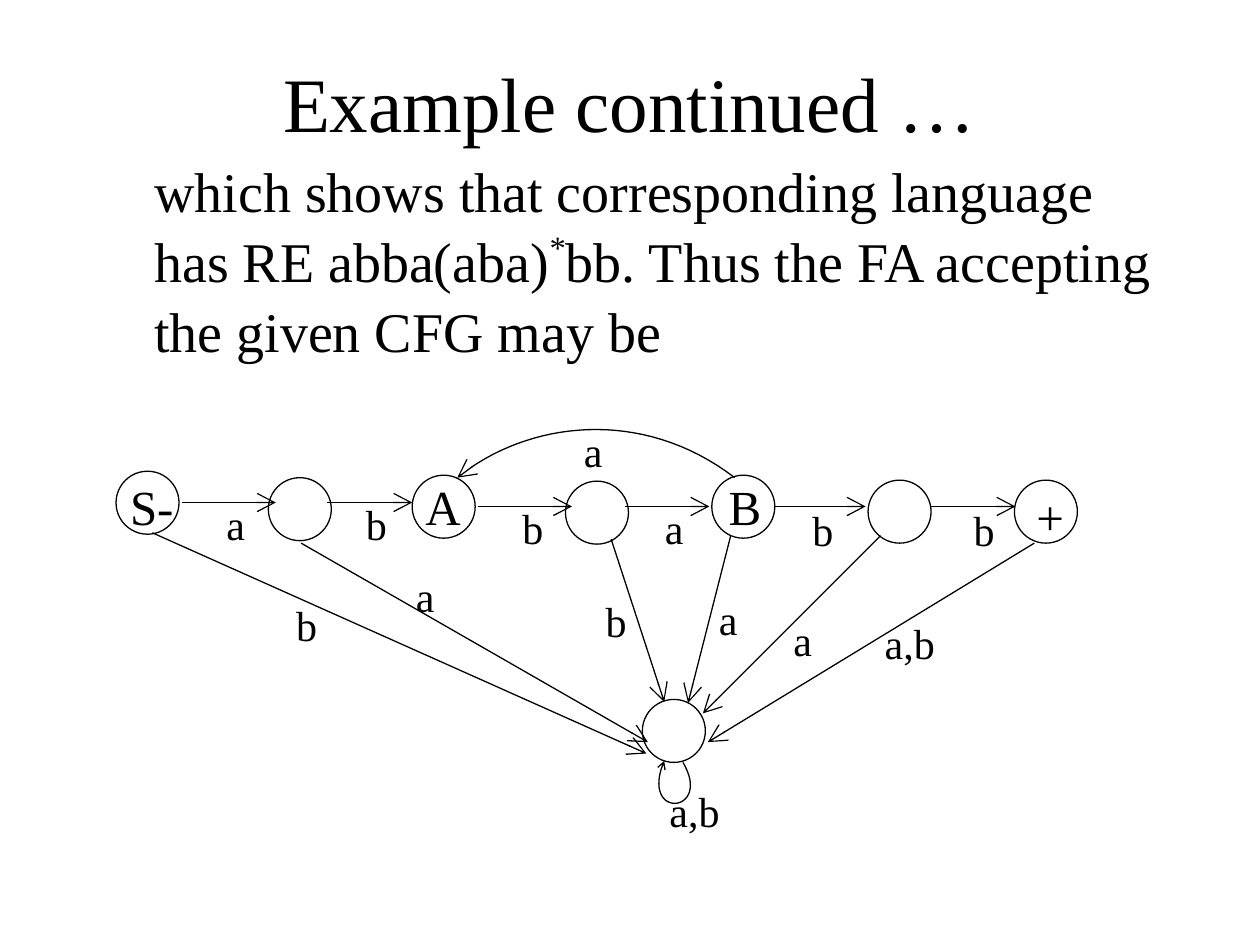
import pptx
import pptx.dml.color
import pptx.enum.shapes
import pptx.enum.text
import pptx.oxml
import pptx.util

Cm = pptx.util.Cm
Pt = pptx.util.Pt
BLACK = pptx.dml.color.RGBColor(0x00, 0x00, 0x00)
WHITE = pptx.dml.color.RGBColor(0xFF, 0xFF, 0xFF)
ALIGN = pptx.enum.text.PP_ALIGN
ANCHOR = pptx.enum.text.MSO_ANCHOR
SHAPE = pptx.enum.shapes.MSO_SHAPE
STRAIGHT = pptx.enum.shapes.MSO_CONNECTOR.STRAIGHT

THEME = {
    "font": "Times New Roman", "ink": BLACK, "paper": WHITE,
    "title": Pt(44), "body": Pt(32), "state": Pt(28), "label": Pt(24),
    "line": Pt(0.75), "spacing": 1.04,
}


def write(sp, runs, size, align, anchor=ANCHOR.TOP):
    tf = sp.text_frame
    frame = {"word_wrap": True, "vertical_anchor": anchor,
             "margin_left": Cm(0.25), "margin_right": Cm(0.25),
             "margin_top": Cm(0.13), "margin_bottom": Cm(0.13)}
    for name, value in frame.items():
        setattr(tf, name, value)
    p = tf.paragraphs[0]
    p.alignment = align
    p.line_spacing = THEME["spacing"]
    for text, baseline in runs:
        r = p.add_run()
        r.text = text
        for name, value in {"name": THEME["font"], "size": size}.items():
            setattr(r.font, name, value)
        r.font.color.rgb = THEME["ink"]
        if baseline:
            r._r.get_or_add_rPr().set("baseline", str(baseline))


def outline(sp, head=None):
    sp.line.color.rgb = THEME["ink"]
    sp.line.width = THEME["line"]
    ns = 'xmlns:a="http://schemas.openxmlformats.org/drawingml/2006/main"'
    if head:
        sp.line._get_or_add_ln().append(pptx.oxml.parse_xml(
            f'<a:tailEnd {ns} type="arrow" w="{head}" len="{head}"/>'))
    sp._element.spPr.append(pptx.oxml.parse_xml(f"<a:effectLst {ns}/>"))


prs = pptx.Presentation()
prs.slide_width, prs.slide_height = Cm(25.4), Cm(19.05)
s = prs.slides.add_slide(prs.slide_layouts[5])

# Title
title = s.shapes.title
box = {"left": Cm(1.9), "top": Cm(0.43), "width": Cm(21.59), "height": Cm(3.18)}
for name, value in box.items():
    setattr(title, name, value)
write(title, [("Example continued …", 0)], THEME["title"], ALIGN.CENTER, ANCHOR.MIDDLE)

# Explanation
body = s.shapes.add_textbox(Cm(2.86), Cm(2.97), Cm(20.63), Cm(4.6))
write(body, [("which shows that corresponding language has RE abba(aba)", 0),
             ("*", 40000),
             ("bb. Thus the FA accepting the given CFG may be", 0)],
      THEME["body"], ALIGN.LEFT)

# States: the accepting chain, then the sink
states = [(2.34, 9.5), (5.41, 9.63), (8.31, 9.58), (11.4, 9.7),
          (14.35, 9.58), (17.5, 9.68), (20.45, 9.68), (12.95, 14.1)]
for x, y in states:
    sp = s.shapes.add_shape(SHAPE.OVAL, Cm(x), Cm(y), Cm(1.27), Cm(1.27))
    sp.fill.solid()
    sp.fill.fore_color.rgb = THEME["paper"]
    outline(sp)

# Straight transitions: start, end
transitions = [
    # along the chain
    (3.66, 10.13, 5.56, 10.13), (6.6, 10.13, 8.31, 10.13),
    (9.63, 10.21, 11.53, 10.21), (12.6, 10.21, 14.3, 10.21),
    (15.62, 10.21, 17.45, 10.21), (18.77, 10.21, 20.47, 10.21),
    # into the sink
    (3.07, 10.74, 13.03, 15.19), (6.07, 10.95, 13.06, 14.96),
    (12.32, 10.87, 13.39, 14.15), (14.73, 10.8, 13.87, 14.17),
    (17.75, 10.8, 14.17, 14.38), (20.85, 10.95, 14.27, 14.96),
]
for ends in transitions:
    outline(s.shapes.add_connector(STRAIGHT, *[Cm(v) for v in ends]), "lg")

# Curved transitions as cubic Béziers: B back to A, and the sink's loop
curves = [
    ([(14.81, 9.63), (12.95, 8.2), (10.64, 8.48), (9.22, 9.63)], "lg"),
    ([(13.77, 15.37), (14.38, 16.41), (12.88, 16.54), (13.39, 15.34)], "sm"),
]
STEPS = 32
for controls, head in curves:
    points = []
    for i in range(STEPS + 1):
        t = i / STEPS
        weights = ((1 - t) ** 3, 3 * t * (1 - t) ** 2, 3 * t ** 2 * (1 - t), t ** 3)
        points.append([Cm(sum(w * c[axis] for w, c in zip(weights, controls)))
                       for axis in (0, 1)])
    builder = s.shapes.build_freeform(*points[0])
    builder.add_line_segments(points[1:], close=False)
    sp = builder.convert_to_shape()
    sp.fill.background()
    outline(sp, head)

# Labels: text, centre x, top
labels = {
    "label": [
        ("a", 4.75, 9.88), ("b", 7.59, 9.88), ("b", 10.74, 9.96),
        ("a", 13.59, 9.96), ("b", 16.59, 10.01), ("b", 19.84, 10.01),
        ("b", 6.18, 11.91), ("a", 8.57, 11.33), ("b", 12.42, 11.84),
        ("a", 14.68, 11.79), ("a", 16.18, 12.22), ("a,b", 18.34, 12.27),
        ("a", 11.96, 8.41), ("a,b", 14, 15.67),
    ],
    "state": [("S-", 3.06, 9.42), ("A", 8.93, 9.42),
              ("B", 15.02, 9.42), ("+", 21.17, 9.63)],
}
for kind, rows in labels.items():
    for text, x, y in rows:
        if kind == "state":
            width, height = 2.11, 1.45
        else:
            width, height = (1.27 if len(text) == 1 else 2.59), 1.27
        sp = s.shapes.add_textbox(Cm(x - width / 2), Cm(y), Cm(width), Cm(height))
        write(sp, [(text, 0)], THEME[kind], ALIGN.CENTER)

prs.save("out.pptx")
